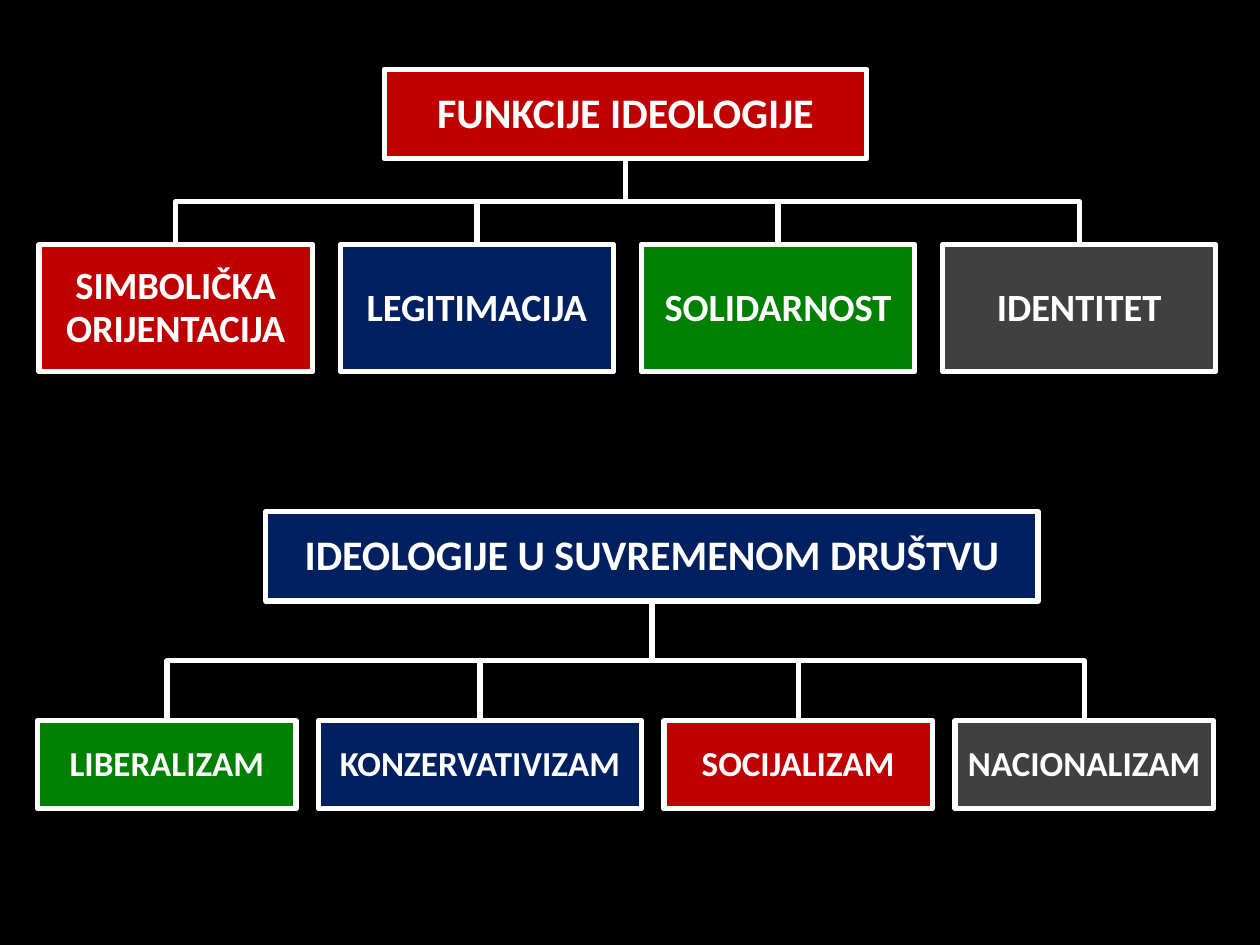
from lxml import etree
from pptx import Presentation
from pptx.dml.color import RGBColor
from pptx.enum.shapes import MSO_CONNECTOR, MSO_SHAPE
from pptx.enum.text import MSO_ANCHOR, PP_ALIGN
from pptx.oxml.ns import qn
from pptx.util import Inches, Pt

RECTANGLE = MSO_SHAPE.RECTANGLE
ELBOW = MSO_CONNECTOR.ELBOW
MIDDLE = MSO_ANCHOR.MIDDLE
CENTER = PP_ALIGN.CENTER
BOTTOM_SITE, TOP_SITE = 2, 0
RED, BLUE, GREEN, GRAY = "C00000", "002060", "008000", "404040"
WHITE, BLACK = "FFFFFF", "000000"
ROOT_HEIGHT = 0.71


def color(value):
    """Return the colour for a hex string."""
    return RGBColor.from_string(value)


def style_line(line):
    """Give a line the white chart stroke."""
    line.color.rgb = color(WHITE)
    line.width = Pt(3)


def add_box(page, text, fill, area, size):
    """Add a filled box with a bold centred label."""
    box = page.shapes.add_shape(RECTANGLE, *map(Inches, area))
    box.shadow.inherit = False
    box.fill.solid()
    box.fill.fore_color.rgb = color(fill)
    style_line(box.line)
    frame = box.text_frame
    frame.text = text
    frame.word_wrap = True
    frame.vertical_anchor = MIDDLE
    frame.margin_left = frame.margin_right = Inches(0.05)
    para = frame.paragraphs[0]
    para.alignment = CENTER
    para.line_spacing = 0.93
    font = para.runs[0].font
    font.name = "Calibri"
    font.size = Pt(size)
    font.bold = True
    font.color.rgb = color(WHITE)
    return box


def add_branch(page, root, leaf):
    """Join the bottom of a root to the top of a leaf with an elbow."""
    start_x, start_y = root.left + root.width // 2, root.top + root.height
    end_x, end_y = leaf.left + leaf.width // 2, leaf.top
    drop, span = end_y - start_y, abs(end_x - start_x)
    branch = page.shapes.add_connector(ELBOW, start_x, start_y, end_x, end_y)
    branch.begin_connect(root, BOTTOM_SITE)
    branch.end_connect(leaf, TOP_SITE)
    branch.left = (start_x + end_x - drop) // 2
    branch.top = (start_y + end_y - span) // 2
    branch.width, branch.height = drop, span
    rightward = end_x > start_x
    properties = branch._element.spPr
    transform = properties.find(qn("a:xfrm"))
    transform.set("rot", str((270 if rightward else 90) * 60000))
    transform.set("flipH", "1" if rightward else "0")
    transform.set("flipV", "0")
    style_line(branch.line)
    etree.SubElement(properties, qn("a:effectLst"))


def add_tree(page, root, leaves, left, top, height, gap, size):
    """Add a root box above a row of leaves and join them."""
    text, fill, root_left, root_top, root_width = root
    root_area = (root_left, root_top, root_width, ROOT_HEIGHT)
    root_box = add_box(page, text, fill, root_area, 24)
    for text, fill, width in leaves:
        leaf = add_box(page, text, fill, (left, top, width, height), size)
        add_branch(page, root_box, leaf)
        left += width + gap


def main():
    """Build the slide with its two trees."""
    deck = Presentation()
    deck.slide_width, deck.slide_height = Inches(10), Inches(7.5)
    page = deck.slides.add_slide(deck.slide_layouts[6])
    page.background.fill.solid()
    page.background.fill.fore_color.rgb = color(BLACK)
    functions = [
        ("SIMBOLIČKA ORIJENTACIJA", RED, 2.17),
        ("LEGITIMACIJA", BLUE, 2.17),
        ("SOLIDARNOST", GREEN, 2.17),
        ("IDENTITET", GRAY, 2.17),
    ]
    ideologies = [
        ("LIBERALIZAM", GREEN, 2.05),
        ("KONZERVATIVIZAM", BLUE, 2.56),
        ("SOCIJALIZAM", RED, 2.13),
        ("NACIONALIZAM", GRAY, 2.05),
    ]
    add_tree(page, ("FUNKCIJE IDEOLOGIJE", RED, 3.05, 0.55, 3.83),
             functions, left=0.31, top=1.94, height=1.01, gap=0.22, size=22)
    add_tree(page, ("IDEOLOGIJE U SUVREMENOM DRUŠTVU", BLUE, 2.11, 4.06, 6.13),
             ideologies, left=0.3, top=5.72, height=0.7, gap=0.18, size=20)
    deck.save("out.pptx")


if __name__ == "__main__":
    main()
